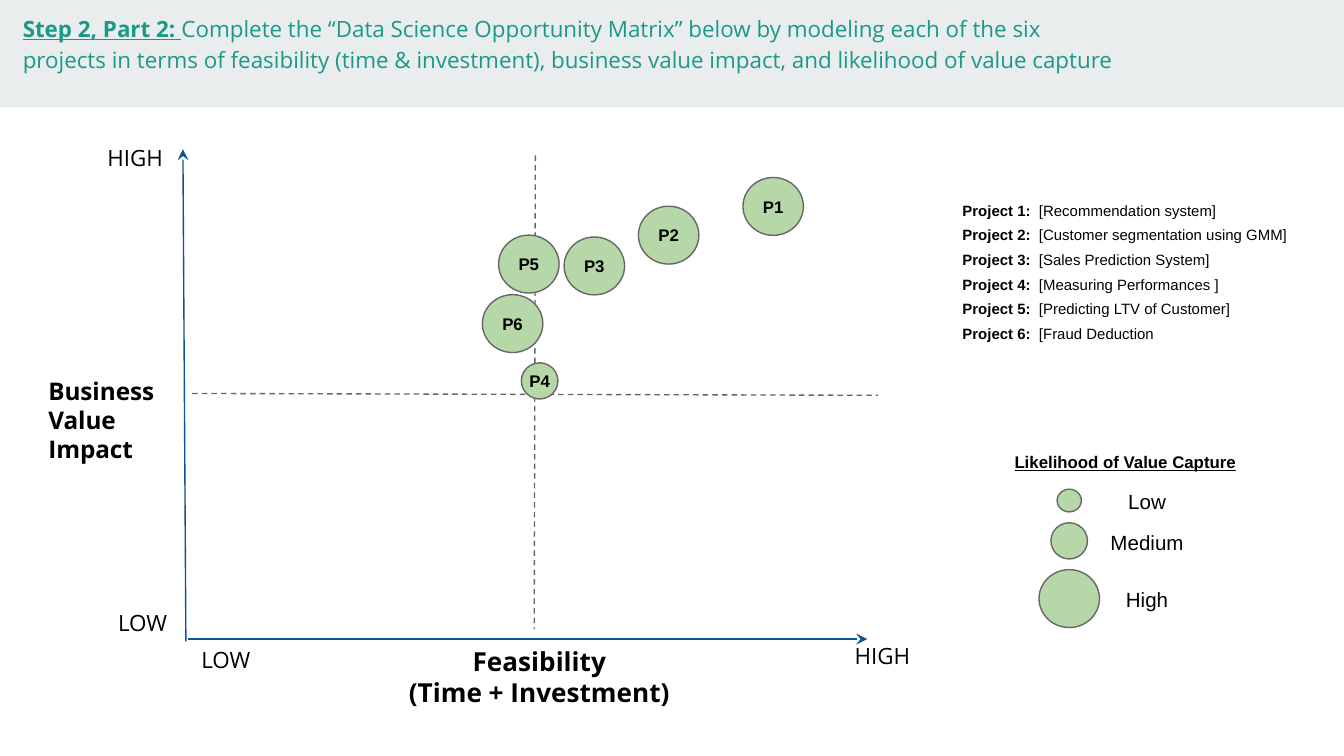
from lxml import etree
from pptx import Presentation
from pptx.dml.color import RGBColor
from pptx.enum.dml import MSO_LINE
from pptx.enum.shapes import MSO_CONNECTOR, MSO_SHAPE
from pptx.enum.text import MSO_ANCHOR, MSO_AUTO_SIZE, PP_ALIGN
from pptx.oxml.ns import qn
from pptx.util import Pt

LEFT, CENTER, RIGHT = PP_ALIGN.LEFT, PP_ALIGN.CENTER, PP_ALIGN.RIGHT
TOP, MIDDLE, BOTTOM = MSO_ANCHOR.TOP, MSO_ANCHOR.MIDDLE, MSO_ANCHOR.BOTTOM
SANS, ARIAL = "Open Sans", "Arial"
BLACK, GRAY, BLUE, GREEN, TEAL, BAND = (
    "000000", "666666", "0B5394", "B6D7A8", "1A9988", "E9EDEE")

TITLE_LEAD = "Step 2, Part 2: "
TITLE_REST = (
    "Complete the “Data Science Opportunity Matrix” below by modeling each of the six "
    "projects in terms of feasibility (time & investment), business value impact, "
    "and likelihood of value capture")

PROJECTS = ["[Recommendation system]", "[Customer segmentation using GMM]",
            "[Sales Prediction System]", "[Measuring Performances ]",
            "[Predicting LTV of Customer]", "[Fraud Deduction"]
COLUMN_WIDTHS = [48.2, 74.9, 96.5]
ROW_HEIGHT = 13.2

BUBBLE_SIZES = {"Low": (13, 12.2), "Medium": (19.6, 19.4), "High": (32.4, 31)}

# name, likelihood, centre x, centre y
BUBBLES = [("P4", "Medium", 289.1, 204.1), ("P1", "High", 414.2, 110.6),
           ("P2", "High", 358.2, 126), ("P3", "High", 318.4, 142.5),
           ("P5", "High", 283.3, 141.5), ("P6", "High", 274.6, 173.4)]

LEGEND_X = 572.8
LEGEND = [("Low", 268.2), ("Medium", 289.8), ("High", 320.7)]

# start x, start y, end x, end y
GUIDES = [(286.8, 83.3, 286.2, 337), (103, 210.8, 470.4, 211.8)]
AXES = [(98, 80, 99.6, 343.6), (464.6, 342.4, 100.8, 342.4)]

# lines, left, top, width, height, size, bold, alignment
AXIS_LABELS = [
    (["Business Value Impact"], 18.8, 194.4, 85, 32.4, 13, True, LEFT),
    (["Feasibility", "(Time + Investment)"], 164.1, 338.4, 249.8, 32.4, 14, True, CENTER),
    (["HIGH"], 50.4, 71.3, 59, 12.2, 12, False, LEFT),
    (["LOW"], 100.8, 338.9, 48.2, 17.3, 12, False, LEFT),
    (["LOW"], 56.2, 319.2, 48.2, 17.3, 12, False, LEFT),
    (["HIGH"], 450.7, 338.1, 59, 12.2, 12, False, LEFT),
]


def rgb(value):
    return RGBColor.from_string(value)


def set_font(font, name, size, color=BLACK, bold=False, underline=False):
    font.name, font.size, font.bold, font.underline = name, Pt(size), bold, underline
    font.color.rgb = rgb(color)


def set_frame(frame, inset, anchor=TOP, wrap=True):
    frame.word_wrap = wrap
    frame.auto_size = MSO_AUTO_SIZE.NONE
    frame.vertical_anchor = anchor
    frame.margin_left = frame.margin_right = Pt(inset)
    frame.margin_top = frame.margin_bottom = Pt(inset)


def add_text(slide, lines, left, top, width, height, font, size,
             bold=False, alignment=LEFT, underline=False):
    frame = slide.shapes.add_textbox(Pt(left), Pt(top), Pt(width), Pt(height)).text_frame
    set_frame(frame, 7.2)
    frame.text = "\n".join(lines)
    for paragraph in frame.paragraphs:
        paragraph.alignment = alignment
        set_font(paragraph.font, font, size, bold=bold, underline=underline)


def add_line(slide, points, color, dashed=False, arrow=False):
    """Draw a straight line; an arrowhead sits at its start."""
    line = slide.shapes.add_connector(MSO_CONNECTOR.STRAIGHT, *map(Pt, points))
    line.line.color.rgb = rgb(color)
    line.line.width = Pt(0.75)
    if dashed:
        line.line.dash_style = MSO_LINE.DASH
    properties = line._element.spPr
    if arrow:
        etree.SubElement(properties.find(qn("a:ln")), qn("a:headEnd"),
                         type="stealth", w="med", len="med")
    etree.SubElement(properties, qn("a:effectLst"))


def add_bubble(slide, likelihood, x, y, name=None):
    width, height = BUBBLE_SIZES[likelihood]
    bubble = slide.shapes.add_shape(MSO_SHAPE.OVAL, Pt(x - width / 2), Pt(y - height / 2),
                                    Pt(width), Pt(height))
    bubble.shadow.inherit = False
    bubble.fill.solid()
    bubble.fill.fore_color.rgb = rgb(GREEN)
    bubble.line.color.rgb = rgb(GRAY)
    bubble.line.width = Pt(0.75)
    if name:
        set_frame(bubble.text_frame, 0, MIDDLE, wrap=False)
        paragraph = bubble.text_frame.paragraphs[0]
        paragraph.text = name
        paragraph.alignment = CENTER
        set_font(paragraph.font, ARIAL, 9, bold=True)


def add_header(slide):
    band = slide.shapes.add_shape(MSO_SHAPE.RECTANGLE, 0, 0, Pt(720), Pt(57.6))
    band.shadow.inherit = False
    band.fill.solid()
    band.fill.fore_color.rgb = rgb(BAND)
    band.line.fill.background()

    title = slide.shapes.title
    band._element.addnext(title._element)  # the title goes in front of the band
    title.left, title.top, title.width, title.height = Pt(5), Pt(-1.4), Pt(607.7), Pt(26.6)
    set_frame(title.text_frame, 7.2)
    paragraph = title.text_frame.paragraphs[0]
    paragraph.alignment = LEFT
    paragraph.line_spacing = 1.15
    for text, strong in ((TITLE_LEAD, True), (TITLE_REST, False)):
        run = paragraph.add_run()
        run.text = text
        set_font(run.font, SANS, 12, TEAL, strong, strong)


def add_project_table(slide):
    table = slide.shapes.add_table(len(PROJECTS), len(COLUMN_WIDTHS), Pt(506.2), Pt(105.8),
                                   Pt(sum(COLUMN_WIDTHS)),
                                   Pt(ROW_HEIGHT * len(PROJECTS))).table
    table.first_row = table.horz_banding = False
    for column, width in zip(table.columns, COLUMN_WIDTHS):
        column.width = Pt(width)
    for index, project in enumerate(PROJECTS):
        table.rows[index].height = Pt(ROW_HEIGHT)
        table.cell(index, 1).merge(table.cell(index, 2))
        texts = (f"Project {index + 1}:", project, "")
        for column, text in enumerate(texts):
            cell = table.cell(index, column)
            cell.fill.background()
            cell.vertical_anchor = BOTTOM
            cell.margin_left = cell.margin_right = Pt(2.2)
            cell.margin_top = cell.margin_bottom = Pt(1.4)
            paragraph = cell.text_frame.paragraphs[0]
            paragraph.text = text
            paragraph.line_spacing = 1.15
            paragraph.alignment = RIGHT if column == 0 else LEFT
            set_font(paragraph.font, ARIAL, 8, bold=column == 0)


def main():
    presentation = Presentation()
    presentation.slide_width, presentation.slide_height = Pt(720), Pt(405)
    slide = presentation.slides.add_slide(presentation.slide_layouts[5])

    add_header(slide)
    for points in GUIDES:
        add_line(slide, points, GRAY, dashed=True)
    for points in AXES:
        add_line(slide, points, BLUE, arrow=True)
    for lines, left, top, width, height, size, bold, alignment in AXIS_LABELS:
        add_text(slide, lines, left, top, width, height, SANS, size, bold, alignment)
    add_project_table(slide)

    add_text(slide, ["Likelihood of Value Capture"], 536.4, 234.7, 134, 26.6,
             ARIAL, 9, bold=True, underline=True)
    for likelihood, y in LEGEND:
        add_bubble(slide, likelihood, LEGEND_X, y)
        add_text(slide, [likelihood], 586, y - 13.3, 57, 26.6, ARIAL, 11, alignment=CENTER)
    for name, likelihood, x, y in BUBBLES:
        add_bubble(slide, likelihood, x, y, name)

    presentation.save("out.pptx")


if __name__ == "__main__":
    main()
